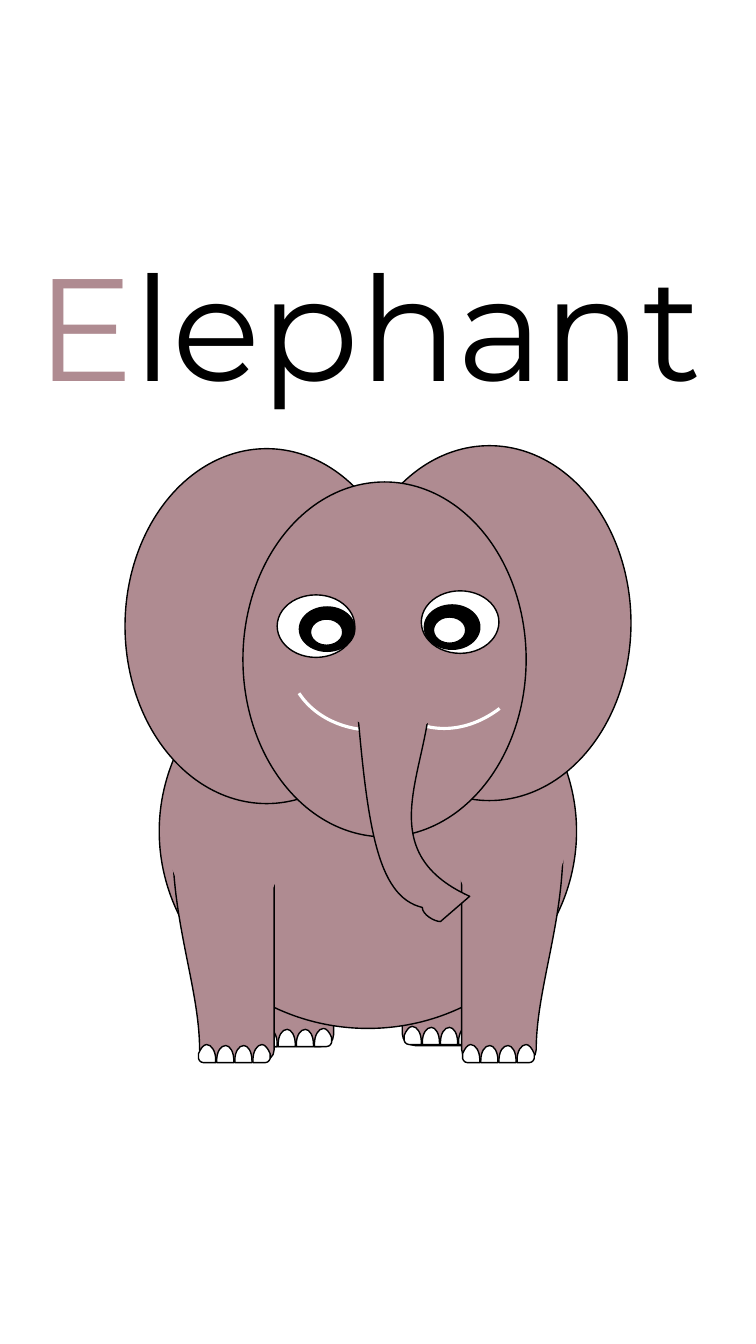
from lxml.etree import SubElement
from pptx import Presentation
from pptx.dml.color import RGBColor
from pptx.enum.shapes import MSO_SHAPE as Preset
from pptx.enum.text import MSO_AUTO_SIZE as AutoSize
from pptx.oxml.ns import qn
from pptx.util import Cm, Pt

SKIN, BLACK, WHITE = "AF8B91", "000000", "FFFFFF"
AXIS = 7.3
TOE_STEP, FOOT_WIDTH = 0.18, 0.71

LEG = [(0, 0), (0, -0.07, -0.06, -0.12, -0.13, -0.12), (-0.62, -0.12),
       (-0.68, -0.12, -0.9, -0.56, -0.9, -0.49),
       (-1.21, 0.67, -0.74, 1.57, -0.74, 2.35),
       (-0.74, 2.42, -0.68, 2.47, -0.62, 2.47), (-0.13, 2.47),
       (-0.06, 2.47, 0, 2.42, 0, 2.35)]
MIDDLE_TOE = [(0.09, -0.17), (0.04, -0.17, 0, -0.11, 0, -0.02), (0, 0), (0.17, 0),
              (0.17, -0.02), (0.17, -0.11, 0.13, -0.17, 0.09, -0.17)]
END_TOE = [(0.08, -0.18), (0.05, -0.18, 0.02, -0.14, 0, -0.09), (0, -0.04),
           (0.01, -0.02), (0.02, -0.01, 0.03, 0, 0.05, 0), (0.17, 0),
           (0.17, -0.03), (0.17, -0.11, 0.13, -0.18, 0.08, -0.18)]
TRUNK = [(4.27, 6.84), (4.27, 6.77, 4.21, 6.72, 4.15, 6.72), (3.66, 6.72),
         (3.59, 6.72, 3.53, 6.77, 3.53, 6.84), (3.64, 8.16, 3.73, 8.89, 4.19, 9),
         (4.19, 9.07, 4.31, 9.14, 4.37, 9.14), (4.66, 8.89),
         (3.65, 8.43, 4.27, 7.62, 4.27, 6.84)]


def color(code):
    return RGBColor.from_string(code)


def inches(value):
    return Cm(value * 2.54)


def flatten(steps, parts=8):
    points = [steps[0][0]]
    for step in steps[1:]:
        if len(step) == 1:
            points.append(step[0])
            continue
        corners = [points[-1], *step]
        for t in (index / parts for index in range(1, parts + 1)):
            weights = ((1 - t) ** 3, 3 * t * (1 - t) ** 2, 3 * t * t * (1 - t), t ** 3)
            points.append(tuple(
                round(sum(w * corner[axis] for w, corner in zip(weights, corners)))
                for axis in (0, 1)))
    return points


class Artist:
    """Draws styled elements on the current slide."""

    def __init__(self, page, font):
        self.page, self.font = page, font

    def style(self, shape, fill, line, width):
        shape.shadow.inherit = False
        if fill:
            shape.fill.solid()
            shape.fill.fore_color.rgb = color(fill)
        else:
            shape.fill.background()
        if line:
            shape.line.color.rgb = color(line)
            shape.line.width = Pt(width)
        else:
            shape.line.fill.background()

    def ellipse(self, left, top, width, height, fill=SKIN, line=BLACK, turn=0):
        shape = self.page.shapes.add_shape(
            Preset.OVAL, *map(inches, (left, top, width, height)))
        shape.rotation = turn
        self.style(shape, fill, line, 1)

    def smile(self, left, top, turn):
        shape = self.page.shapes.add_shape(
            Preset.ARC, *map(inches, (left, top, 1.94, 2.53)))
        shape.adjustments[0], shape.adjustments[1] = 140.28, 162
        shape.rotation = turn
        self.style(shape, None, WHITE, 2.25)

    def outline(self, outline, x=0, y=0, fill=SKIN, mirror=False):
        side = -1 if mirror else 1
        steps = [[(inches(x + side * px), inches(y + py))
                  for px, py in zip(step[::2], step[1::2])] for step in outline]
        points = flatten(steps)
        builder = self.page.shapes.build_freeform(*points[0])
        builder.add_line_segments(points[1:], close=True)
        shape = builder.convert_to_shape()
        self.curve(shape, steps)
        self.style(shape, fill, BLACK, 1)

    def curve(self, shape, steps):
        route = next(shape.element.iter(qn("a:path")))
        for child in list(route):
            route.remove(child)
        for index, step in enumerate(steps):
            tag = "a:moveTo" if index == 0 else "a:lnTo" if len(step) == 1 else "a:cubicBezTo"
            segment = SubElement(route, qn(tag))
            for x, y in step:
                SubElement(segment, qn("a:pt"), x=str(x - shape.left), y=str(y - shape.top))
        SubElement(route, qn("a:close"))

    def foot(self, left, bottom):
        self.outline(END_TOE, left, bottom, WHITE)
        self.outline(END_TOE, left + FOOT_WIDTH, bottom, WHITE, mirror=True)
        for toe in (2, 1):
            self.outline(MIDDLE_TOE, left + toe * TOE_STEP, bottom, WHITE)

    def eye(self, white, iris, shine):
        self.ellipse(*white, 0.77, 0.62, WHITE)
        self.ellipse(*iris, 0.55, 0.44, BLACK)
        self.ellipse(*shine, 0.32, 0.26, WHITE)

    def title(self, left, top, width, height, parts, size):
        box = self.page.shapes.add_textbox(*map(inches, (left, top, width, height)))
        frame = box.text_frame
        frame.word_wrap = True
        frame.auto_size = AutoSize.SHAPE_TO_FIT_TEXT
        para = frame.paragraphs[0]
        for text, shade in parts:
            span = para.add_run()
            span.text = text
            span.font.name = self.font
            span.font.size = Pt(size)
            span.font.color.rgb = color(shade)


def main():
    deck = Presentation()
    deck.slide_width, deck.slide_height = inches(7.5), inches(13.33)
    artist = Artist(deck.slides.add_slide(deck.slide_layouts[6]), "Montserrat")

    artist.title(0.26, 2.29, 7.21, 1.85, [("E", SKIN), ("lephant", BLACK)], 104)

    artist.outline(LEG, 3.31, 7.91)
    artist.foot(2.58, 10.38)
    artist.outline(LEG, AXIS - 3.31, 7.9, mirror=True)
    artist.foot(4.01, 10.36)
    artist.ellipse(1.58, 6.29, 4.14, 3.91)

    artist.outline(LEG, 2.72, 8.06)
    artist.ellipse(1.63, 7.43, 1.17, 1.68, line=None, turn=351.3)
    artist.outline(LEG, AXIS - 2.72, 8.06, mirror=True)
    artist.ellipse(4.47, 7.39, 1.17, 1.68, line=None, turn=3.6)
    for left in (4.59, 1.97):
        artist.foot(left, 10.54)

    for left, top in ((3.45, 4.42), (1.24, 4.45), (2.41, 4.78)):
        artist.ellipse(left, top, 2.81, 3.52)
    artist.eye((2.75, 5.9), (2.97, 6.02), (3.08, 6.14))
    artist.eye((4.18, 5.86), (4.21, 6), (4.3, 6.12))
    artist.smile(3.05, 4.91, 236.4)
    artist.smile(3.56, 4.71, 194.1)
    artist.outline(TRUNK)
    artist.ellipse(3.4, 6.54, 1.02, 0.71, line=SKIN)

    deck.save("out.pptx")


if __name__ == "__main__":
    main()
